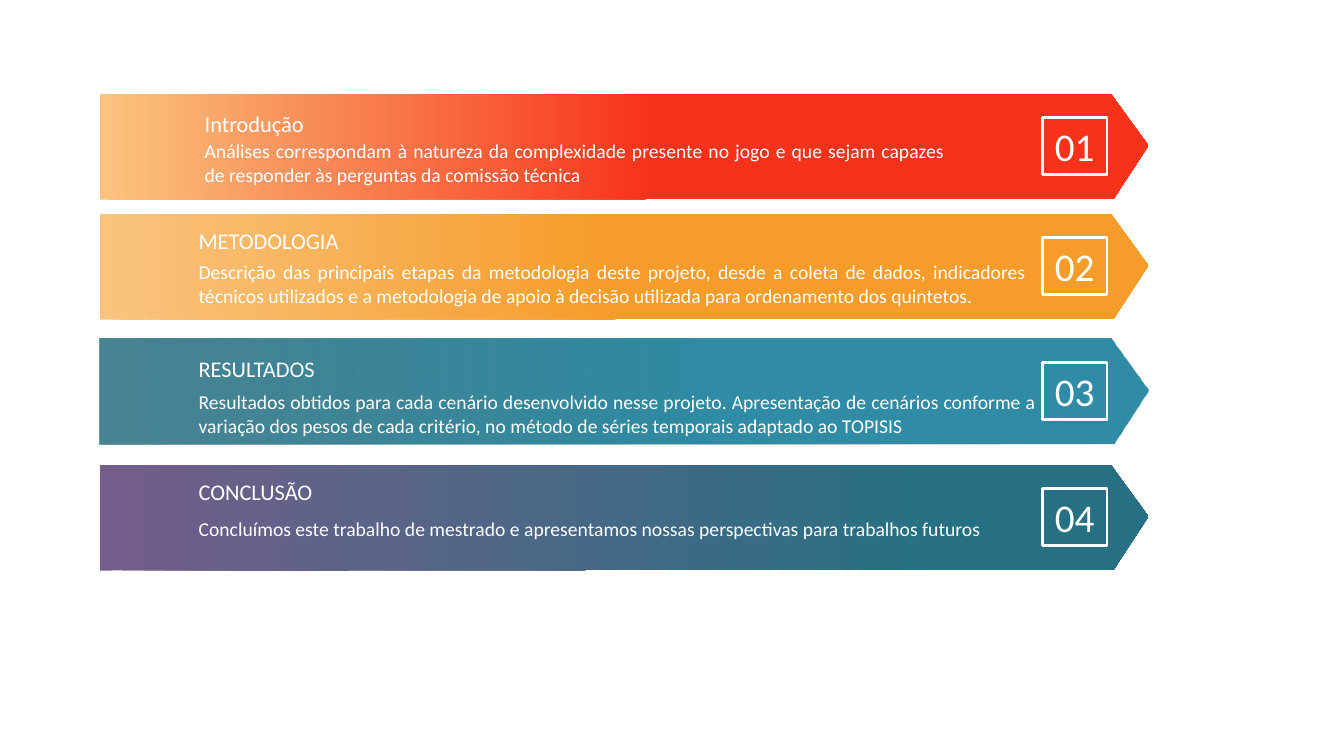
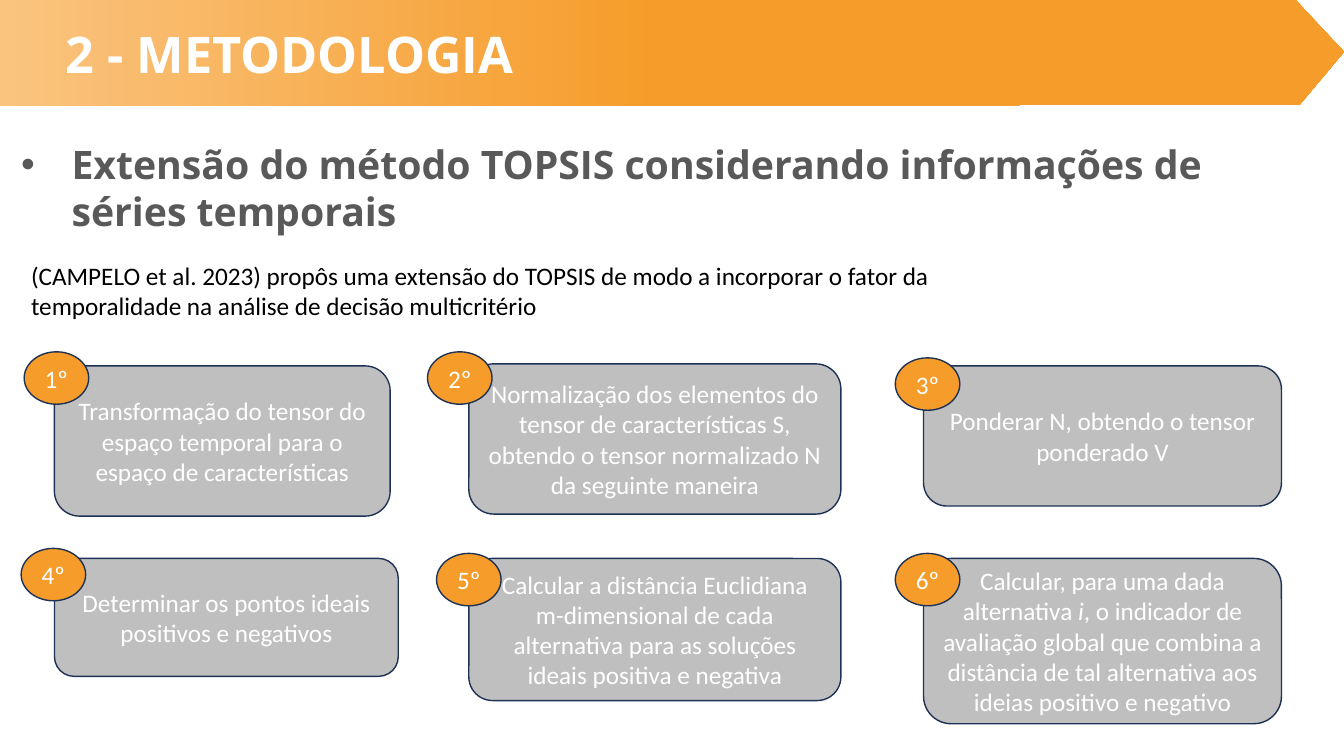
from lxml import etree
from pptx import Presentation
from pptx.dml.color import RGBColor
from pptx.enum import shapes, text
from pptx.oxml.ns import qn
from pptx.util import Inches, Pt

WHITE, BLACK, GRAY, DARK_GRAY, NAVY = "FFFFFF", "000000", "BFBFBF", "595959", "1E3256"
ORANGE = "F69C2A"
BODY_FONT, TITLE_FONT = "Calibri", "Open Sans"
BAND_HEIGHT = 1.05
# left colour, its opacity in %, main colour, where the main colour begins
ORANGE_BAND = ("FAC47F", 100, ORANGE, 0.49)

# band top, gradient, heading, heading place, description, its top and width
AGENDA = [
    (0.93, ("FAC47F", 100, "F7321A", 0.53), "Introdução", (2.03, 1.09),
     "Análises correspondam à natureza da complexidade presente no jogo e que sejam capazes "
     "de responder às perguntas da comissão técnica", 1.38, 7.34),
    (2.12, ORANGE_BAND, "METODOLOGIA", (1.97, 2.25),
     "Descrição das principais etapas da metodologia deste projeto, desde a coleta de dados, "
     "indicadores técnicos utilizados e a metodologia de apoio à decisão utilizada para "
     "ordenamento dos quintetos.", 2.58, 8.21),
    (3.36, ("23697B", 82, "2F8CA4", 0.59), "RESULTADOS", (1.97, 3.52),
     "Resultados obtidos para cada cenário desenvolvido nesse projeto. Apresentação de cenários "
     "conforme a variação dos pesos de cada critério, no método de séries temporais adaptado "
     "ao TOPISIS", 3.87, 8.31),
    (4.61, ("735D8A", 100, "267083", 0.81), "CONCLUSÃO", (1.97, 4.74),
     "Concluímos este trabalho de mestrado e apresentamos nossas perspectivas para trabalhos "
     "futuros", 5.13, 8.31),
]

# step text (*italic*), box place, badge left and top
STEPS = [
    ("Transformação do tensor do espaço temporal para o espaço de características",
     (0.54, 3.63, 3.33, 1.49), (0.24, 3.49)),
    ("Normalização dos elementos do tensor de características S, obtendo o tensor normalizado N "
     "da seguinte maneira", (4.65, 3.61, 3.69, 1.49), (4.24, 3.49)),
    ("Ponderar N, obtendo o tensor ponderado V", (9.16, 3.63, 3.55, 1.39), (8.88, 3.55)),
    ("Determinar os pontos ideais positivos e negativos",
     (0.54, 5.54, 3.41, 1.17), (0.21, 5.44)),
    ("Calcular a distância Euclidiana m-dimensional de cada alternativa para as soluções ideais "
     "positiva e negativa", (4.65, 5.54, 3.69, 1.41), (4.33, 5.49)),
    ("Calcular, para uma dada alternativa *i*, o indicador de avaliação global que combina a "
     "distância de tal alternativa aos ideias positivo e negativo",
     (9.16, 5.54, 3.55, 1.64), (8.88, 5.49)),
]


def rgb(color):
    return RGBColor.from_string(color)


def inches(values):
    return [Inches(value) for value in values]


def write(shape, content, size, color=WHITE, font=BODY_FONT, bold=False, align="LEFT",
          anchor="TOP", inset=None, line_spacing=1.0):
    """Fill a shape with one paragraph; parts between asterisks are italic."""
    frame = shape.text_frame
    frame.word_wrap = True
    frame.auto_size = text.MSO_AUTO_SIZE.NONE
    frame.vertical_anchor = text.MSO_ANCHOR[anchor]
    if inset is not None:
        frame.margin_left = frame.margin_right = Inches(inset)
        frame.margin_top = frame.margin_bottom = Inches(inset)
    paragraph = frame.paragraphs[0]
    paragraph.alignment = text.PP_ALIGN[align]
    paragraph.line_spacing = line_spacing
    paragraph.space_before = Pt(0)
    for index, part in enumerate(content.split("*")):
        run = paragraph.add_run()
        run.text = part
        run.font.size, run.font.name, run.font.bold = Pt(size), font, bold
        run.font.color.rgb = rgb(color)
        if index % 2:
            run.font.italic = True
    return paragraph


def add_text(slide, place, content, size, **style):
    return write(slide.shapes.add_textbox(*inches(place)), content, size, **style)


def add_box(slide, kind, place, content, size, fill=None, line=NAVY, line_width=1):
    box = slide.shapes.add_shape(shapes.MSO_SHAPE[kind], *inches(place))
    box.shadow.inherit = False
    if fill:
        box.fill.solid()
        box.fill.fore_color.rgb = rgb(fill)
    else:
        box.fill.background()
    box.line.color.rgb = rgb(line)
    box.line.width = Pt(line_width)
    write(box, content, size, align="CENTER", anchor="MIDDLE")


def add_band(slide, left, top, width, gradient):
    """Draw the gradient arrow band behind everything else."""
    outline = [(0, 0), (0.964, 0), (1, 0.49), (0.967, 0.99), (0, 1)]
    points = [inches((left + x * width, top + y * BAND_HEIGHT)) for x, y in outline]
    builder = slide.shapes.build_freeform(*points[0])
    builder.add_line_segments(points[1:], close=True)
    band = builder.convert_to_shape()
    band.shadow.inherit = False
    band.line.fill.background()

    start, opacity, main, main_position = gradient
    band.fill.gradient()
    band.fill.gradient_angle = 0
    for stop, color, position in zip(band.fill.gradient_stops, (start, main), (0, main_position)):
        stop.color.rgb = rgb(color)
        stop.position = position
    if opacity < 100:
        start_color = next(band.element.iter(qn("a:srgbClr")))
        etree.SubElement(start_color, qn("a:alpha"), val=str(opacity * 1000))
    slide.shapes.element.insert(2, band.element)


def place_placeholder(placeholder, place):
    placeholder.left, placeholder.top, placeholder.width, placeholder.height = inches(place)


def build_agenda(deck):
    slide = deck.slides.add_slide(deck.slide_layouts.get_by_name("Blank"))
    for number, (top, gradient, heading, heading_at, description, description_top,
                 description_width) in enumerate(AGENDA, 1):
        add_band(slide, 0.99, top, 10.4, gradient)
        add_text(slide, (*heading_at, 6.45, 0.28), heading, 16, inset=0)
        add_text(slide, (heading_at[0], description_top, description_width, 0.47),
                 description, 14, align="JUSTIFY", inset=0)
        add_box(slide, "RECTANGLE", (10.34, top + 0.24, 0.64, 0.56), f"{number:02}", 28,
                line=WHITE, line_width=2)


def build_method(deck):
    slide = deck.slides.add_slide(deck.slide_layouts.get_by_name("Title and Content"))
    add_band(slide, 0, 0, 13.33, ORANGE_BAND)
    title, topic = slide.placeholders
    place_placeholder(title, (0.55, 0.25, 12, 0.71))
    write(title, "2 - METODOLOGIA", 36, font=TITLE_FONT, bold=True, line_spacing=0.9)
    place_placeholder(topic, (0.11, 1.34, 12.28, 1.04))
    bullet = write(topic, "Extensão do método TOPSIS considerando informações de séries temporais",
                   28, color=DARK_GRAY, font=TITLE_FONT, bold=True)
    indent = bullet._p.get_or_add_pPr()
    indent.set("marL", str(Inches(0.5)))
    indent.set("indent", str(-Inches(0.5)))
    add_text(slide, (0.21, 2.53, 9.31, 0.71),
             "(CAMPELO et al. 2023) propôs uma extensão do TOPSIS de modo a incorporar o fator da "
             "temporalidade na análise de decisão multicritério", 18, color=BLACK)
    for number, (step, place, badge_at) in enumerate(STEPS, 1):
        add_box(slide, "ROUNDED_RECTANGLE", place, step, 18, fill=GRAY)
        add_box(slide, "OVAL", (*badge_at, 0.64, 0.52), f"{number}º", 18, fill=ORANGE)


def main():
    deck = Presentation()
    deck.slide_width, deck.slide_height = inches((13.33, 7.5))
    build_agenda(deck)
    build_method(deck)
    deck.save("out.pptx")


if __name__ == "__main__":
    main()
